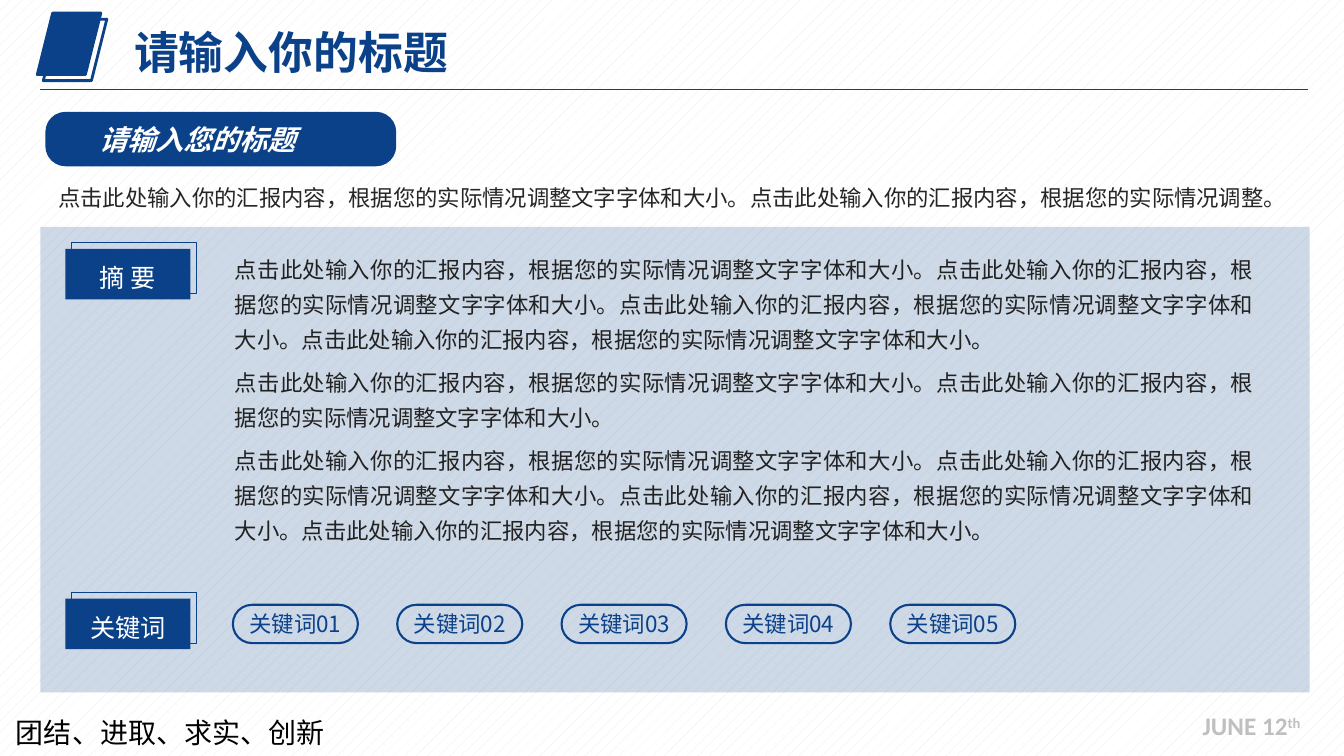
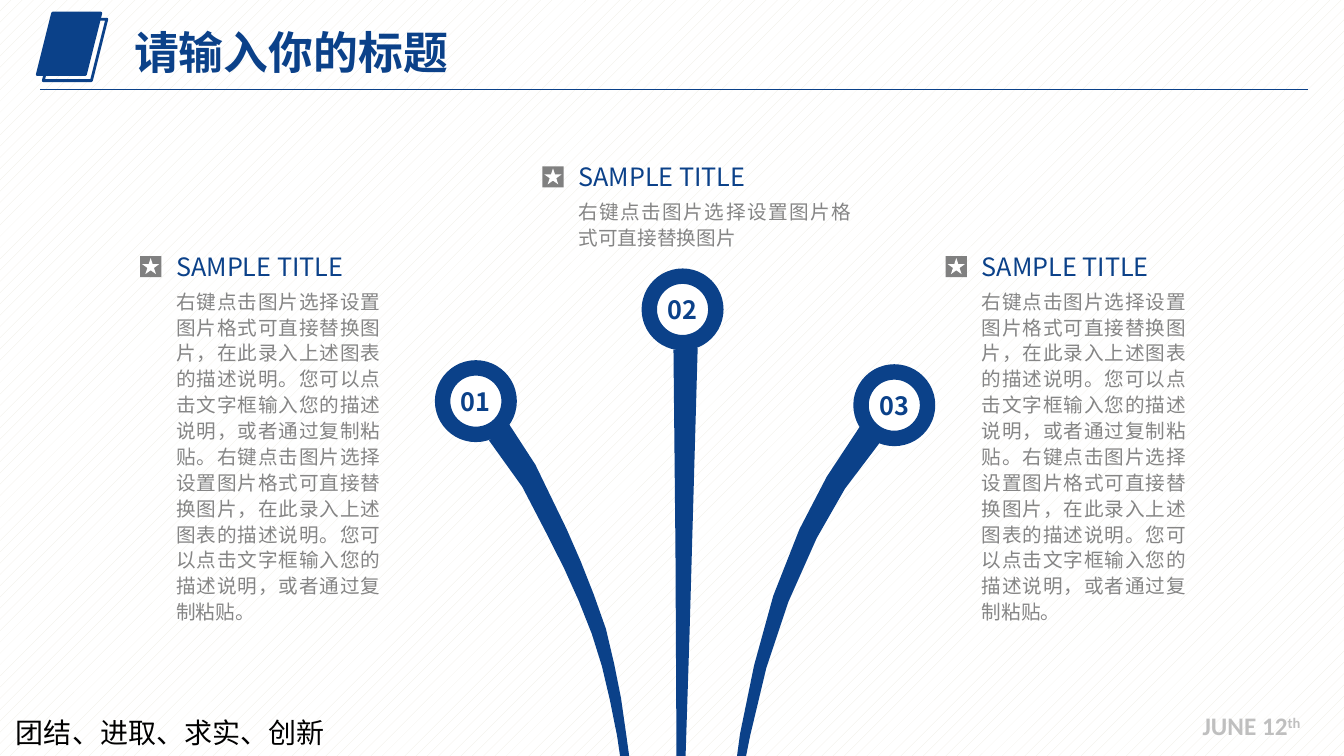
from lxml.etree import SubElement
from pptx import Presentation
from pptx.dml.color import RGBColor
from pptx.enum.dml import MSO_PATTERN
from pptx.enum.shapes import MSO_CONNECTOR, MSO_SHAPE
from pptx.enum.text import MSO_ANCHOR, MSO_AUTO_SIZE, PP_ALIGN
from pptx.oxml.ns import qn
from pptx.util import Pt

PX = 9144  # EMU per px, 100 px to the inch
BLUE = RGBColor(0x0B, 0x41, 0x89)
WHITE = RGBColor(0xFF, 0xFF, 0xFF)
BLACK = RGBColor(0x00, 0x00, 0x00)
CREAM = RGBColor(0xEE, 0xEC, 0xE1)
INK = RGBColor(0x22, 0x22, 0x22)
DARK = RGBColor(0x26, 0x26, 0x26)
GREY = RGBColor(0x80, 0x80, 0x80)
TEXT_GREY = RGBColor(0x85, 0x85, 0x85)
PALE_GREY = RGBColor(0xBF, 0xBF, 0xBF)
SC = "Noto Sans CJK SC"
JP = "Noto Sans CJK JP"

GROW = {"word_wrap": True, "auto_size": MSO_AUTO_SIZE.SHAPE_TO_FIT_TEXT}
NO_INSET = dict.fromkeys(["margin_left", "margin_right", "margin_top", "margin_bottom"], 0)
MIDDLE = NO_INSET | {"word_wrap": False, "vertical_anchor": MSO_ANCHOR.MIDDLE}
CENTER = {"alignment": PP_ALIGN.CENTER}
JUSTIFY = {"alignment": PP_ALIGN.JUSTIFY}

SENTENCE = "点击此处输入你的汇报内容，根据您的实际情况调整文字字体和大小。"
HINT = "右键点击图片选择设置图片格式可直接替换图片"
DETAIL = (HINT + "，在此录入上述图表的描述说明。您可以点击文字框输入您的描述说明，或者通过复制粘贴。") * 2


def write(tf, texts, color, font, para={}, frame=GROW, gap=0):
    """Fill a text frame, one paragraph per text, gap points apart."""
    for name, value in frame.items():
        setattr(tf, name, value)
    for i, text in enumerate(texts):
        p = tf.add_paragraph() if i else tf.paragraphs[0]
        for name, value in para.items():
            setattr(p, name, value)
        p.space_before = Pt(gap if i else 0)
        r = p.add_run()
        r.text = text
        for name, value in font.items():
            setattr(r.font, name, value)
        r.font.color.rgb = color
        SubElement(r._r.get_or_add_rPr(), qn("a:ea"), typeface=font["name"])


def add_shape(s, kind, box, fill=None, line=None, width=1):
    sp = s.shapes.add_shape(kind, *[v * PX for v in box])
    sp.shadow.inherit = False
    if fill is None:
        sp.fill.background()
    else:
        sp.fill.solid()
        sp.fill.fore_color.rgb = fill
    if line is None:
        sp.line.fill.background()
    else:
        sp.line.color.rgb = line
        sp.line.width = Pt(width)
    return sp


prs = Presentation()
prs.slide_width, prs.slide_height = 1333 * PX, 750 * PX

bg = prs.slide_master.background.fill
bg.patterned()
bg.pattern = MSO_PATTERN.PERCENT_10
bg.fore_color.rgb = CREAM
bg.back_color.rgb = WHITE

# Header and footer of both slides
summary, stems = slides = [prs.slides.add_slide(prs.slide_layouts[5]) for _ in range(2)]
for s in slides:
    title = s.shapes.title
    title.left, title.top, title.width, title.height = [v * PX for v in (123, 21, 551, 67)]
    write(title.text_frame, ["请输入你的标题"], BLUE,
          {"size": Pt(32), "name": SC, "bold": True},
          {"alignment": PP_ALIGN.LEFT, "line_spacing": 0.9},
          {"word_wrap": True, "vertical_anchor": MSO_ANCHOR.MIDDLE})

    add_shape(s, MSO_SHAPE.PARALLELOGRAM, (37, 13, 63, 61), BLUE, BLUE, 2)
    add_shape(s, MSO_SHAPE.PARALLELOGRAM, (43, 19, 63, 61), None, BLUE, 2)
    rule = s.shapes.add_connector(MSO_CONNECTOR.STRAIGHT, 40 * PX, 89 * PX, 1297 * PX, 89 * PX)
    rule.line.color.rgb = BLUE
    rule.line.width = Pt(0.75)
    SubElement(rule._element.spPr, qn("a:effectLst"))

    motto = s.shapes.add_textbox(6 * PX, 705 * PX, 381 * PX, 44 * PX)
    write(motto.text_frame, ["团结、进取、求实、创新"], BLACK, {"size": Pt(20), "name": JP})

    date = s.shapes.add_textbox(1183 * PX, 700 * PX, 120 * PX, 40 * PX)
    date_font = {"size": Pt(18), "name": "Calibri", "bold": True}
    write(date.text_frame, ["JUNE 12"], PALE_GREY, date_font, frame=GROW | {"word_wrap": False})
    r = date.text_frame.paragraphs[0].add_run()
    r.text = "th"
    for name, value in date_font.items():
        setattr(r.font, name, value)
    r.font.color.rgb = PALE_GREY
    r._r.get_or_add_rPr().set("baseline", "30000")

# Slide 1: summary and keywords
s = summary
panel = add_shape(s, MSO_SHAPE.RECTANGLE, (40, 225, 1259, 462), BLUE)
SubElement(panel._element.spPr.find(".//" + qn("a:srgbClr")), qn("a:alpha"), val="20000")

body = s.shapes.add_textbox(223 * PX, 241 * PX, 1031 * PX, 341 * PX)
write(body.text_frame, [SENTENCE * n for n in (4, 2, 4)], INK, {"size": Pt(16), "name": SC},
      JUSTIFY | {"line_spacing": 1.3}, {"word_wrap": True}, gap=6)

for label, top in (("摘 要", 247), ("关键词", 594)):
    add_shape(s, MSO_SHAPE.RECTANGLE, (71, top - 6, 124, 50), None, BLUE, 0.75)
    tag = add_shape(s, MSO_SHAPE.RECTANGLE, (65, top, 124, 50), BLUE)
    write(tag.text_frame, [label], WHITE, {"size": Pt(18), "name": JP},
          CENTER | {"line_spacing": 1.2}, MIDDLE)

for i in range(5):
    pill = add_shape(s, MSO_SHAPE.ROUNDED_RECTANGLE, (231 + 163 * i, 600, 124, 38), None, BLUE, 1.5)
    pill.adjustments[0] = 0.5
    write(pill.text_frame, [f"关键词{i + 1:02}"], BLUE, {"size": Pt(16), "name": JP}, CENTER, MIDDLE)

intro = s.shapes.add_textbox(48 * PX, 164 * PX, 1240 * PX, 46 * PX)
write(intro.text_frame, [SENTENCE + "点击此处输入你的汇报内容，根据您的实际情况调整。"], DARK,
      {"size": Pt(16), "name": SC}, JUSTIFY | {"line_spacing": 1.5})

banner = add_shape(s, MSO_SHAPE.ROUNDED_RECTANGLE, (45, 111, 348, 54), BLUE)
banner.adjustments[0] = 0.37
write(banner.text_frame, ["请输入您的标题"], WHITE,
      {"size": Pt(20), "name": SC, "bold": True, "italic": True},
      {"alignment": PP_ALIGN.LEFT}, MIDDLE | {"margin_left": 48 * PX})

# Slide 2: three stems, each topped by a numbered ring
s = stems
STEMS = [
    ("01", 472, 398, [
        (505, 421), (531, 461), (562, 525), (576, 557), (589, 590), (601, 624), (609, 658),
        (616, 693), (621, 728), (624, 750), (615, 750), (612, 730), (605, 695), (597, 661),
        (587, 629), (574, 596), (560, 565), (544, 533), (518, 483), (485, 437)]),
    ("02", 677, 307, [
        (668, 347), (670, 544), (671, 750), (680, 750), (684, 627), (692, 345)]),
    ("03", 887, 402, [
        (853, 423), (820, 473), (793, 525), (767, 591), (748, 660), (734, 728), (731, 750),
        (740, 750), (744, 730), (760, 663), (782, 597), (810, 534), (838, 485), (872, 440)]),
]
RING = 66
for number, x, y, outline in STEMS:
    builder = s.shapes.build_freeform(*outline[0], scale=PX)
    builder.add_line_segments(outline[1:])
    stem = builder.convert_to_shape()
    stem.shadow.inherit = False
    stem.fill.solid()
    stem.fill.fore_color.rgb = BLUE
    stem.line.fill.background()
    ring = add_shape(s, MSO_SHAPE.OVAL, (x - RING // 2, y - RING // 2, RING, RING), WHITE, BLUE, 11)
    write(ring.text_frame, [number], BLUE, {"size": Pt(18), "name": SC, "bold": True}, CENTER, MIDDLE)

for left, top, width, height, text in ((165, 244, 222, 345, DETAIL), (564, 155, 290, 60, HINT),
                                       (964, 244, 222, 345, DETAIL)):
    add_shape(s, MSO_SHAPE.RECTANGLE, (left - 26, top + 10, 21, 21), GREY)
    add_shape(s, MSO_SHAPE.STAR_5_POINT, (left - 24, top + 12, 17, 16), WHITE)
    heading = s.shapes.add_textbox(left * PX, top * PX, 194 * PX, 40 * PX)
    write(heading.text_frame, ["SAMPLE TITLE"], BLUE, {"size": Pt(18), "name": SC})
    detail = s.shapes.add_textbox(left * PX, (top + 36) * PX, width * PX, height * PX)
    write(detail.text_frame, [text], TEXT_GREY, {"size": Pt(14), "name": SC},
          JUSTIFY | {"line_spacing": 1.1})

prs.save("out.pptx")
